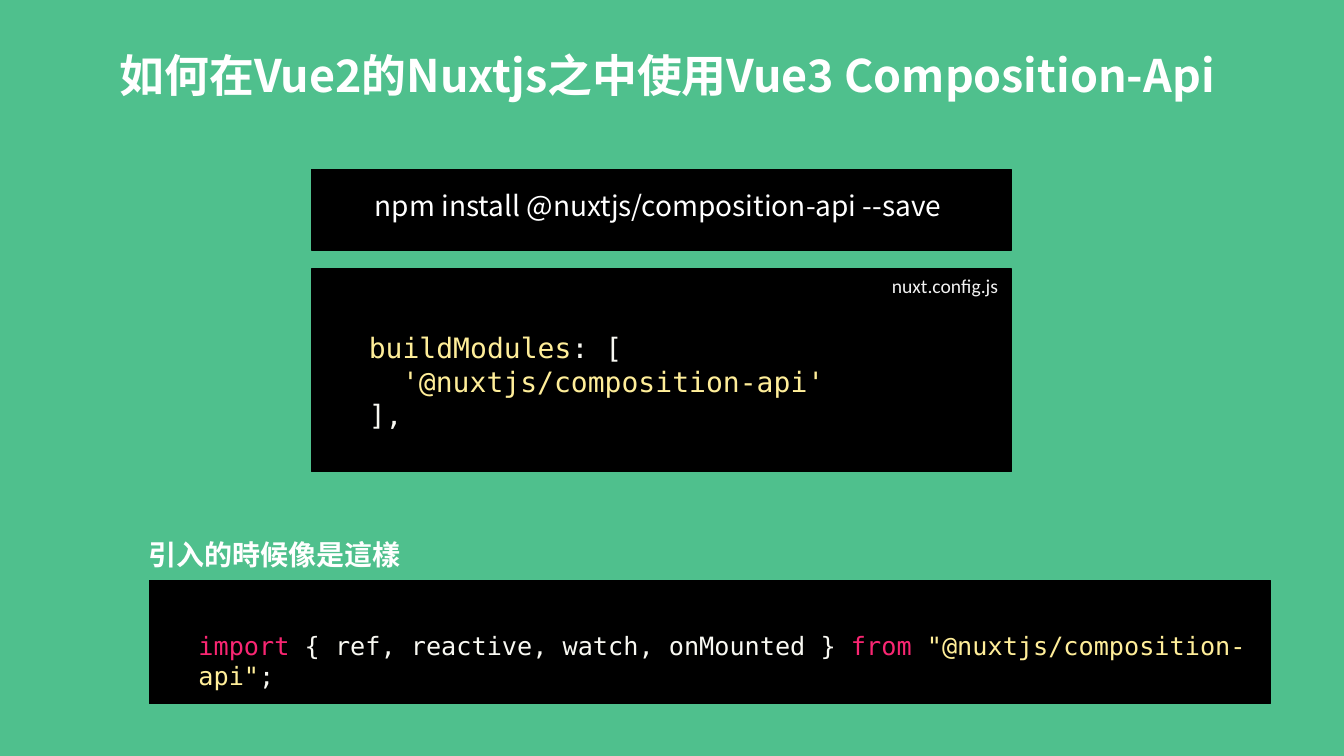
from pptx import Presentation
from pptx import util as u
from pptx.dml.color import RGBColor
from pptx.enum import shapes, text
from pptx.oxml import ns
from lxml import etree

WHITE, CODE, YELLOW, PINK = "FFFFFF", "F8F8F2", "FFEE99", "F92672"
SANS, MONO = "Noto Sans CJK SC", "DejaVu Sans Mono"


def color(value):
    return RGBColor.from_string(value)


class SlideBuilder:
    """Holds the style and the current slide, and adds elements to it."""

    def __init__(self, presentation, background):
        self.slide = presentation.slides.add_slide(presentation.slide_layouts[6])
        fill = self.slide.background.fill
        fill.solid()
        fill.fore_color.rgb = color(background)

    def panel(self, left, top, width, height):
        box = map(u.Inches, (left, top, width, height))
        shape = self.slide.shapes.add_shape(shapes.MSO_SHAPE.RECTANGLE, *box)
        shape.shadow.inherit = False
        shape.fill.solid()
        shape.fill.fore_color.rgb = color("000000")
        shape.line.color.rgb = color("000000")
        shape.line.width = u.Pt(1)

    def run(self, paragraph, wording, value, size, font, bold):
        run = paragraph.add_run()
        run.text = wording
        run.font.size = u.Pt(size)
        run.font.name = font
        run.font.bold = bold
        run.font.color.rgb = color(value)
        properties = run.font._element
        etree.SubElement(properties, ns.qn("a:ea")).set("typeface", font)

    def text(self, left, top, width, height, lines, size, font=SANS, bold=False,
             align="LEFT", anchor="TOP", margins=(0.1, 0.05, 0.1, 0.05),
             indents=(0,), spacing=None, grow=True):
        box = map(u.Inches, (left, top, width, height))
        frame = self.slide.shapes.add_textbox(*box).text_frame
        frame.word_wrap = True
        fit = text.MSO_AUTO_SIZE
        frame.auto_size = fit.SHAPE_TO_FIT_TEXT if grow else fit.NONE
        frame.vertical_anchor = getattr(text.MSO_ANCHOR, anchor)
        (frame.margin_left, frame.margin_top,
         frame.margin_right, frame.margin_bottom) = map(u.Inches, margins)
        for index, (line, indent) in enumerate(zip(lines, indents)):
            paragraph = frame.add_paragraph() if index else frame.paragraphs[0]
            paragraph.alignment = getattr(text.PP_ALIGN, align)
            paragraph.line_spacing = spacing
            properties = paragraph._p.get_or_add_pPr()
            properties.set("marL", str(u.Inches(indent)))
            properties.set("indent", "0")
            for wording, value in line:
                self.run(paragraph, wording, value, size, font, bold)


presentation = Presentation()
presentation.slide_width = u.Inches(13.33)
presentation.slide_height = u.Inches(7.5)
builder = SlideBuilder(presentation, "4FC08D")

PANEL_LEFT, PANEL_WIDTH = 3.09, 6.94
LABEL_MARGINS = (0, 0, 0, 0.09)
CODE_INDENT = 0.33

builder.text(0.62, 0.37, 12.1, 0.8,
             [[("如何在Vue2的Nuxtjs之中使用Vue3 Composition-Api ", WHITE)]],
             32, bold=True, align="CENTER", anchor="MIDDLE", spacing=0.9, grow=False)

builder.panel(PANEL_LEFT, 1.68, PANEL_WIDTH, 0.8)
builder.text(PANEL_LEFT, 1.87, PANEL_WIDTH, 0.42,
             [[("npm install @nuxtjs/composition-api --save ", WHITE)]],
             20, align="CENTER", anchor="MIDDLE", margins=LABEL_MARGINS)

builder.panel(PANEL_LEFT, 2.67, PANEL_WIDTH, 2.01)
builder.text(8.49, 2.67, 1.51, 0.34, [[("nuxt.config.js", "F2F2F2")]],
             14, font="Calibri", align="RIGHT")
builder.text(3.23, 3.23, 6.67, 1.11,
             [[("buildModules", YELLOW), (": [", CODE)],
              [("'@nuxtjs/composition-api'", YELLOW)],
              [("],", CODE)]],
             20, font=MONO, indents=(CODE_INDENT, 2 * CODE_INDENT, CODE_INDENT))

builder.text(1.47, 5.33, 3.53, 0.42, [[("引入的時候像是這樣", WHITE)]],
             20, bold=True, anchor="MIDDLE", margins=LABEL_MARGINS)
builder.panel(1.48, 5.76, 11.12, 1.22)
builder.text(1.87, 6.2, 10.73, 0.4,
             [[("import", PINK), (" { ref, reactive, watch, onMounted } ", CODE),
               ("from ", PINK), ('"@nuxtjs/composition-api"', YELLOW), (";", CODE)]],
             18, font=MONO)

presentation.save("out.pptx")
